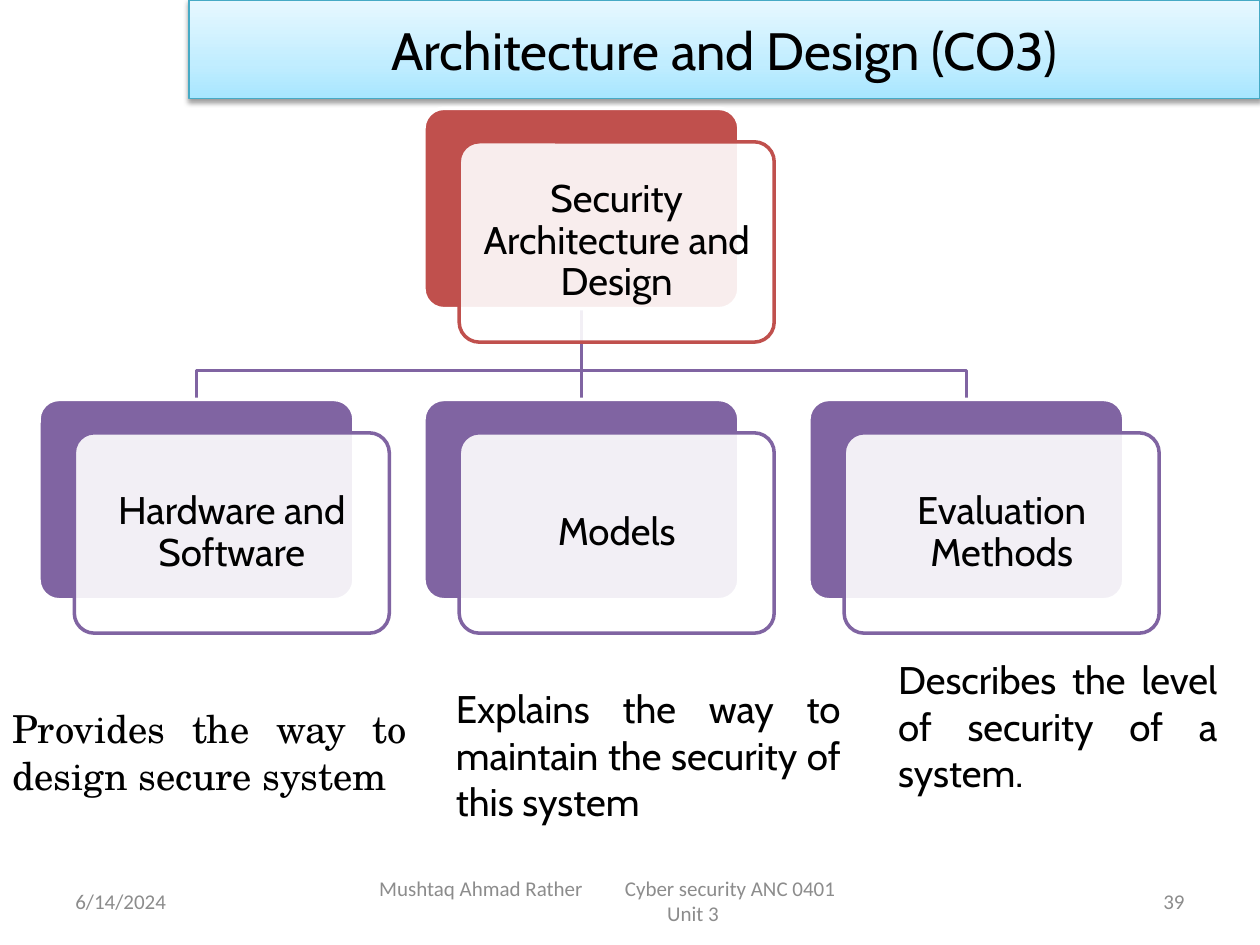
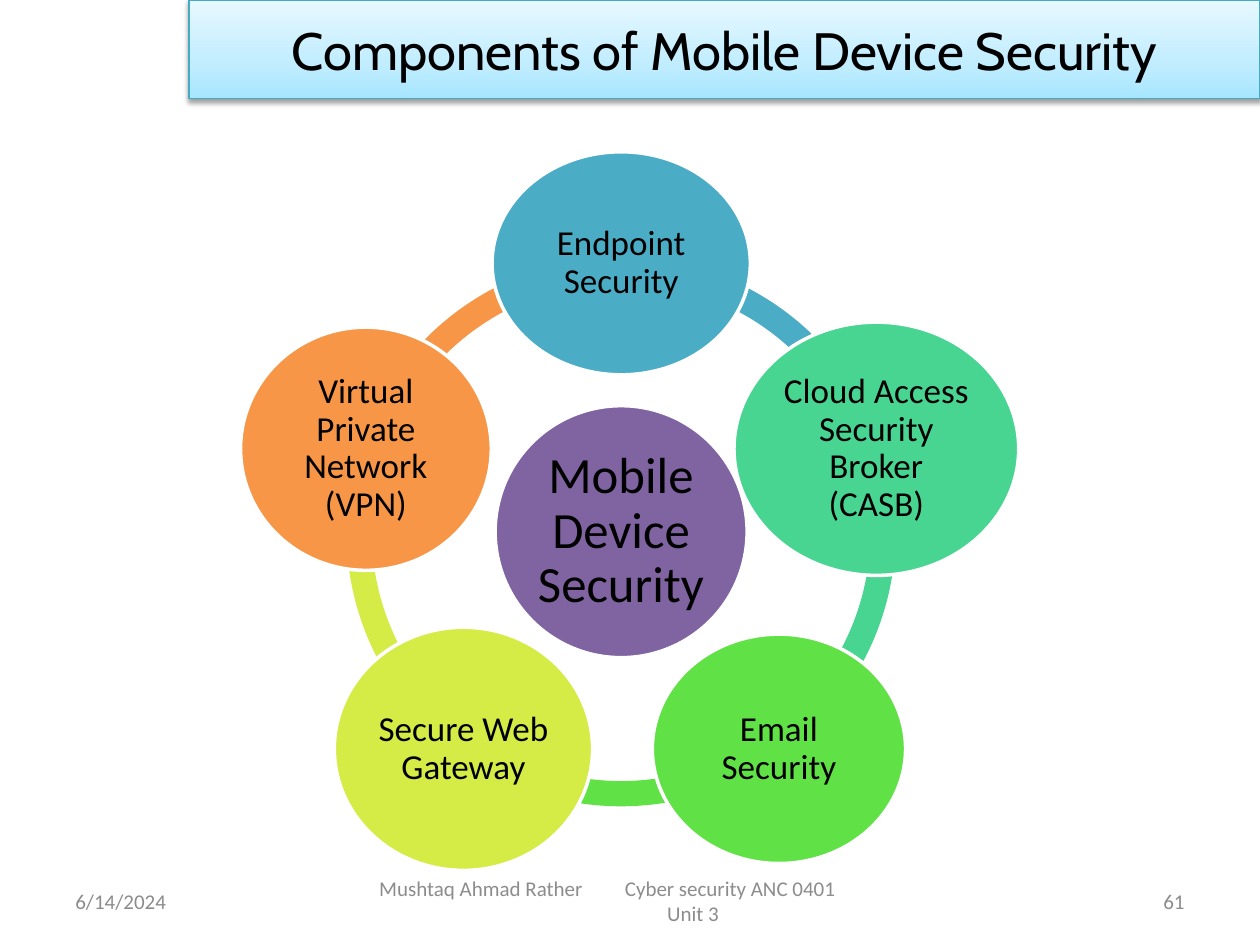
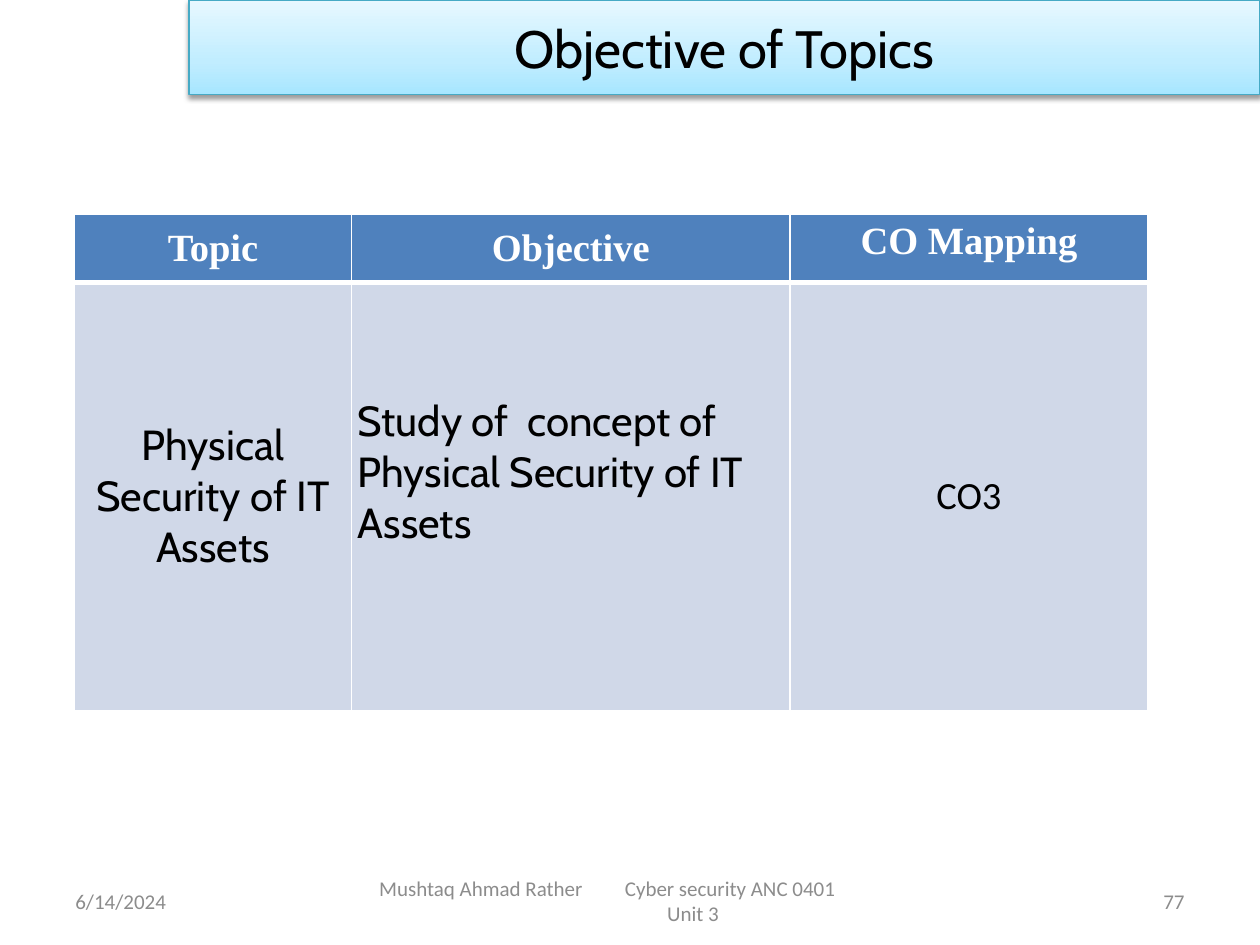
import math
from dataclasses import dataclass, field
from typing import Any

from lxml import etree
from pptx import Presentation
from pptx.dml.color import RGBColor
from pptx.enum.shapes import MSO_CONNECTOR, MSO_SHAPE
from pptx.enum.text import MSO_ANCHOR, PP_ALIGN
from pptx.oxml import parse_xml
from pptx.oxml.ns import nsdecls, qn
from pptx.util import Inches, Pt

LEFT, CENTER, RIGHT, JUSTIFY = PP_ALIGN.LEFT, PP_ALIGN.CENTER, PP_ALIGN.RIGHT, PP_ALIGN.JUSTIFY
TOP, MIDDLE = MSO_ANCHOR.TOP, MSO_ANCHOR.MIDDLE
RECTANGLE, ROUNDED = MSO_SHAPE.RECTANGLE, MSO_SHAPE.ROUNDED_RECTANGLE
ELLIPSE, BLOCK_ARC = MSO_SHAPE.OVAL, MSO_SHAPE.BLOCK_ARC
STRAIGHT = MSO_CONNECTOR.STRAIGHT

# The grid has 100 columns and 75 rows
SLIDE_WIDTH, SLIDE_HEIGHT = Inches(10), Inches(7.5)
COLUMN, ROW = SLIDE_WIDTH / 100, SLIDE_HEIGHT / 75

BLACK, WHITE, GRAY = "000000", "FFFFFF", "8C8C8C"
RED, PURPLE = "C0504D", "8064A2"
TEAL, GREEN, LIME, YELLOW, ORANGE = "4BACC6", "48D491", "60E146", "D5EC46", "F79646"
BAND_LINE, HEADER_BLUE, BODY_BLUE = "46AAC5", "4F81BD", "D0D8E8"
BAND_STOPS = ((0, "A7E6FF"), (35, "C1EDFF"), (100, "E7F8FF"))


@dataclass(frozen=True)
class Box:
    left: float
    top: float
    width: float
    height: float

    def emu(self) -> tuple[int, int, int, int]:
        return (columns(self.left), rows(self.top), columns(self.width), rows(self.height))


@dataclass(frozen=True)
class Style:
    font: str
    size: float
    color: str = BLACK
    align: Any = LEFT
    anchor: Any = MIDDLE
    bold: bool = False
    line_spacing: float = 1.0
    insets: tuple[float, float, float, float] = (1, 0.5, 1, 0.5)


@dataclass(frozen=True)
class Card:
    text: str
    column: int
    top: float
    color: str


@dataclass(frozen=True)
class Node:
    text: str
    color: str
    width: float
    height: float


@dataclass(frozen=True)
class TableCell:
    text: str
    style: Style
    fill: str
    borders: dict[str, float] = field(default_factory=dict)


def columns(count: float) -> int:
    return round(count * COLUMN)


def rows(count: float) -> int:
    return round(count * ROW)


def rgb(color: str) -> RGBColor:
    return RGBColor.from_string(color)


def set_formats(target: Any, formats: dict[str, Any]) -> None:
    for name, value in formats.items():
        setattr(target, name, value)


def margins(style: Style) -> dict[str, int]:
    left, top, right, bottom = style.insets
    return {"margin_left": columns(left), "margin_top": rows(top),
            "margin_right": columns(right), "margin_bottom": rows(bottom)}


def write_paragraph(paragraph: Any, text: str, style: Style) -> None:
    set_formats(paragraph, {"alignment": style.align, "line_spacing": style.line_spacing})
    run = paragraph.add_run()
    run.text = text
    set_formats(run.font, {"name": style.font, "size": Pt(style.size), "bold": style.bold})
    run.font.color.rgb = rgb(style.color)


def write(shape: Any, text: str, style: Style) -> None:
    frame = shape.text_frame
    set_formats(frame, {"word_wrap": True, "vertical_anchor": style.anchor, **margins(style)})
    write_paragraph(frame.paragraphs[0], text, style)


def add_text(slide: Any, box: Box, text: str, style: Style) -> Any:
    shape = slide.shapes.add_textbox(*box.emu())
    write(shape, text, style)
    return shape


def set_line(shape: Any, color: str, width: float) -> None:
    shape.line.color.rgb = rgb(color)
    shape.line.width = Pt(width)


def add_filled(slide: Any, kind: Any, box: Box, fill: str, line: str | None = WHITE,
               adjustments: tuple[float, ...] = (), width: float = 2) -> Any:
    shape = slide.shapes.add_shape(kind, *box.emu())
    shape.shadow.inherit = False
    shape.fill.solid()
    shape.fill.fore_color.rgb = rgb(fill)
    if line:
        set_line(shape, line, width)
    else:
        shape.line.fill.background()
    for index, value in enumerate(adjustments):
        shape.adjustments[index] = value
    return shape


def set_opacity(shape: Any, percent: int) -> None:
    color = shape._element.spPr.find(qn("a:solidFill"))[0]
    etree.SubElement(color, qn("a:alpha"), val=str(percent * 1000))


# Parts shared by every slide

TITLE = Style("Cabin", 30, align=CENTER)
FOOTER = Style("Calibri", 12, GRAY)
FOOTER_RIGHT = Style("Calibri", 12, GRAY, align=RIGHT)
FOOTER_COURSE = Style("Calibri", 12, GRAY, insets=(2.6, 0.5, 2.6, 0.5))
FOOTER_UNIT = Style("Calibri", 12, GRAY, align=CENTER)
FOOTER_TOP, FOOTER_HEIGHT = 69.5, 4


def add_title_band(slide: Any, title: str, height: float) -> None:
    band = add_filled(slide, RECTANGLE, Box(15, 0, 85, height), WHITE, BAND_LINE, width=0.75)
    properties = band._element.spPr
    stops = "".join(f'<a:gs pos="{position * 1000}"><a:srgbClr val="{color}"/></a:gs>'
                    for position, color in BAND_STOPS)
    gradient = parse_xml(f'<a:gradFill {nsdecls("a")} rotWithShape="1"><a:gsLst>{stops}</a:gsLst>'
                         '<a:lin ang="16200000" scaled="0"/></a:gradFill>')
    properties.replace(properties.find(qn("a:solidFill")), gradient)
    properties.find(qn("a:effectLst")).append(parse_xml(
        f'<a:outerShdw {nsdecls("a")} blurRad="{Pt(3.1)}" dist="{Pt(1.6)}" dir="5400000" '
        f'rotWithShape="0"><a:srgbClr val="{BLACK}"><a:alpha val="38000"/></a:srgbClr>'
        '</a:outerShdw>'))
    write(band, title, TITLE)


def add_footer(slide: Any, number: int) -> None:
    add_text(slide, Box(5, FOOTER_TOP, 23.3, FOOTER_HEIGHT), "6/14/2024", FOOTER)
    add_text(slide, Box(71.7, FOOTER_TOP, 23.3, FOOTER_HEIGHT), str(number), FOOTER_RIGHT)
    course = add_text(slide, Box(27.5, FOOTER_TOP, 55, FOOTER_HEIGHT),
                      "Mushtaq Ahmad Rather\tCyber security ANC 0401", FOOTER_COURSE)
    frame = course.text_frame
    tabs = etree.SubElement(frame.paragraphs[0]._p.get_or_add_pPr(), qn("a:tabLst"))
    etree.SubElement(tabs, qn("a:tab"), pos=str(columns(19.5)), algn="l")
    write_paragraph(frame.add_paragraph(), "Unit 3", FOOTER_UNIT)


def add_slide(presentation: Any, title: str, number: int, band_height: float = 7.8) -> Any:
    slide = presentation.slides.add_slide(presentation.slide_layouts[6])
    add_title_band(slide, title, band_height)
    add_footer(slide, number)
    return slide


# Architecture hierarchy

CARD_LEFT, CARD_PITCH, CARD_WIDTH, CARD_HEIGHT = 3.1, 30.55, 25, 15.9
ROOT_TOP, CHILD_TOP, BUS_TOP = 8.6, 31.7, 29.4
CARD_TEXT = Style("Cabin", 22, align=CENTER, line_spacing=0.9, insets=(0.9,) * 4)
DESCRIPTION = Style("Cabin", 22, align=JUSTIFY, anchor=TOP)
SERIF_DESCRIPTION = Style("TeX Gyre Schola", 22, align=JUSTIFY, anchor=TOP)
CARDS = (
    Card("Security Architecture and Design", 1, ROOT_TOP, RED),
    Card("Hardware and Software", 0, CHILD_TOP, PURPLE),
    Card("Models", 1, CHILD_TOP, PURPLE),
    Card("Evaluation Methods", 2, CHILD_TOP, PURPLE),
)
DESCRIPTIONS = (
    (Box(0, 55.5, 33.3, 8.4), "Provides the way to design secure system", SERIF_DESCRIPTION),
    (Box(35.2, 53.9, 32.5, 12.1), "Explains the way to maintain the security of this system",
     DESCRIPTION),
    (Box(70.3, 51.6, 27.3, 12.1), "Describes the level of security of a system.", DESCRIPTION),
)


def card_center(column: int) -> float:
    return CARD_LEFT + column * CARD_PITCH + CARD_WIDTH / 2


def add_branches(slide: Any) -> None:
    """Join the root card to the three cards below it."""
    trunk, start, end = columns(card_center(1)), rows(ROOT_TOP + CARD_HEIGHT), rows(CHILD_TOP)
    for column in (2, 0):
        target = columns(card_center(column))
        builder = slide.shapes.build_freeform(trunk, start)
        builder.add_line_segments(
            [(trunk, rows(BUS_TOP)), (target, rows(BUS_TOP)), (target, end)], close=False)
        branch = builder.convert_to_shape()
        branch.shadow.inherit = False
        branch.fill.background()
        set_line(branch, PURPLE, 2)
    stem = slide.shapes.add_connector(STRAIGHT, trunk, start, trunk, end)
    set_line(stem, PURPLE, 2)
    etree.SubElement(stem._element.spPr, qn("a:effectLst"))


def add_card(slide: Any, card: Card) -> None:
    left = CARD_LEFT + card.column * CARD_PITCH
    back = Box(left, card.top, CARD_WIDTH, CARD_HEIGHT)
    front = Box(left + 2.8, card.top + 2.65, CARD_WIDTH, CARD_HEIGHT)
    add_filled(slide, ROUNDED, back, card.color, adjustments=(0.1,))
    label = add_filled(slide, ROUNDED, front, WHITE, card.color, (0.1,))
    set_opacity(label, 90)
    write(label, card.text, CARD_TEXT)


def build_architecture(presentation: Any) -> None:
    slide = add_slide(presentation, "Architecture and Design (CO3)", 39)
    add_branches(slide)
    for card in CARDS:
        add_card(slide, card)
    for box, text, style in DESCRIPTIONS:
        add_text(slide, box, text, style)


# Ring of components

RING_X, RING_Y, RING_RADIUS, NODE_RADIUS = 49.3, 42.2, 21.8, 21.3
NODE_TEXT = Style("Calibri", 20, align=CENTER, line_spacing=0.9, insets=(0.3,) * 4)
HUB_TEXT = Style("Calibri", 29, align=CENTER, line_spacing=0.9, insets=(0.4,) * 4)
HUB = Node("Mobile Device Security", PURPLE, 20, 20)
NODES = (
    Node("Endpoint Security", TEAL, 20.5, 17.7),
    Node("Cloud Access Security Broker (CASB)", GREEN, 22.6, 20.1),
    Node("Email Security", LIME, 20.1, 18.2),
    Node("Secure Web Gateway", YELLOW, 20.5, 19.3),
    Node("Virtual Private Network (VPN)", ORANGE, 19.9, 19.3),
)
STEP = 360 // len(NODES)
ANGLE_UNIT = 0.6  # adjustment value of one degree


def centered_box(x: float, y: float, width: float, height: float) -> Box:
    return Box(x - width / 2, y - height / 2, width, height)


def node_angle(index: int) -> int:
    return (270 + index * STEP) % 360


def add_node(slide: Any, node: Node, x: float, y: float, style: Style) -> None:
    circle = add_filled(slide, ELLIPSE, centered_box(x, y, node.width, node.height), node.color)
    write(circle, node.text, style)


def build_components(presentation: Any) -> None:
    slide = add_slide(presentation, "Components of Mobile Device Security", 61)
    ring = centered_box(RING_X, RING_Y, 2 * RING_RADIUS, 2 * RING_RADIUS)
    for index, node in reversed(list(enumerate(NODES))):
        arc = (node_angle(index) * ANGLE_UNIT, node_angle(index + 1) * ANGLE_UNIT, 0.046)
        add_filled(slide, BLOCK_ARC, ring, node.color, None, arc)
    add_node(slide, HUB, RING_X, RING_Y, HUB_TEXT)
    for index, node in enumerate(NODES):
        angle = math.radians(node_angle(index))
        add_node(slide, node, RING_X + NODE_RADIUS * math.cos(angle),
                 RING_Y + NODE_RADIUS * math.sin(angle), NODE_TEXT)


# Objective table

COLUMN_WIDTHS, ROW_HEIGHTS = (22, 34.8, 28.4), (5.4, 34)
NO_INSETS = (0, 0, 0, 0)
HEADER = Style("Times New Roman", 22, WHITE, CENTER, bold=True, insets=NO_INSETS)
HEADER_HIGH = Style("Times New Roman", 22, WHITE, CENTER, TOP, bold=True)
TOPIC = Style("Cabin", 24, align=CENTER, insets=NO_INSETS)
OBJECTIVE = Style("Cabin", 24, insets=(0.5, 0, 0, 3.8))
MAPPING = Style("Calibri", 22, align=CENTER)
HEADER_BORDERS = {"lnL": 1, "lnR": 1, "lnT": 1, "lnB": 3}
BODY_BORDERS = {"lnL": 1, "lnR": 1, "lnT": 3, "lnB": 1}
TABLE_ROWS = (
    [TableCell(text, style, HEADER_BLUE, HEADER_BORDERS) for text, style in (
        ("Topic", HEADER), ("Objective", HEADER), ("CO Mapping", HEADER_HIGH))],
    [TableCell(text, style, BODY_BLUE, BODY_BORDERS) for text, style in (
        ("Physical Security of IT Assets", TOPIC),
        ("Study of  concept of Physical Security of IT Assets", OBJECTIVE),
        ("CO3", MAPPING))],
)


def fill_cell(cell: Any, content: TableCell) -> None:
    set_formats(cell, {"vertical_anchor": content.style.anchor, **margins(content.style)})
    write_paragraph(cell.text_frame.paragraphs[0], content.text, content.style)
    properties = cell._tc.get_or_add_tcPr()
    for side, width in content.borders.items():
        properties.append(parse_xml(
            f'<a:{side} {nsdecls("a")} w="{Pt(width)}"><a:solidFill>'
            f'<a:srgbClr val="{WHITE}"/></a:solidFill></a:{side}>'))
    cell.fill.solid()
    cell.fill.fore_color.rgb = rgb(content.fill)


def build_objectives(presentation: Any) -> None:
    slide = add_slide(presentation, "Objective of Topics", 77, 7.5)
    box = Box(5.9, 17, sum(COLUMN_WIDTHS), sum(ROW_HEIGHTS))
    table = slide.shapes.add_table(len(ROW_HEIGHTS), len(COLUMN_WIDTHS), *box.emu()).table
    set_formats(table, {"first_row": False, "horz_banding": False})
    for column, width in zip(table.columns, COLUMN_WIDTHS):
        column.width = columns(width)
    for row, height, contents in zip(table.rows, ROW_HEIGHTS, TABLE_ROWS):
        row.height = rows(height)
        for cell, content in zip(row.cells, contents):
            fill_cell(cell, content)


def main() -> None:
    presentation = Presentation()
    set_formats(presentation, {"slide_width": SLIDE_WIDTH, "slide_height": SLIDE_HEIGHT})
    build_architecture(presentation)
    build_components(presentation)
    build_objectives(presentation)
    presentation.save("out.pptx")


if __name__ == "__main__":
    main()
